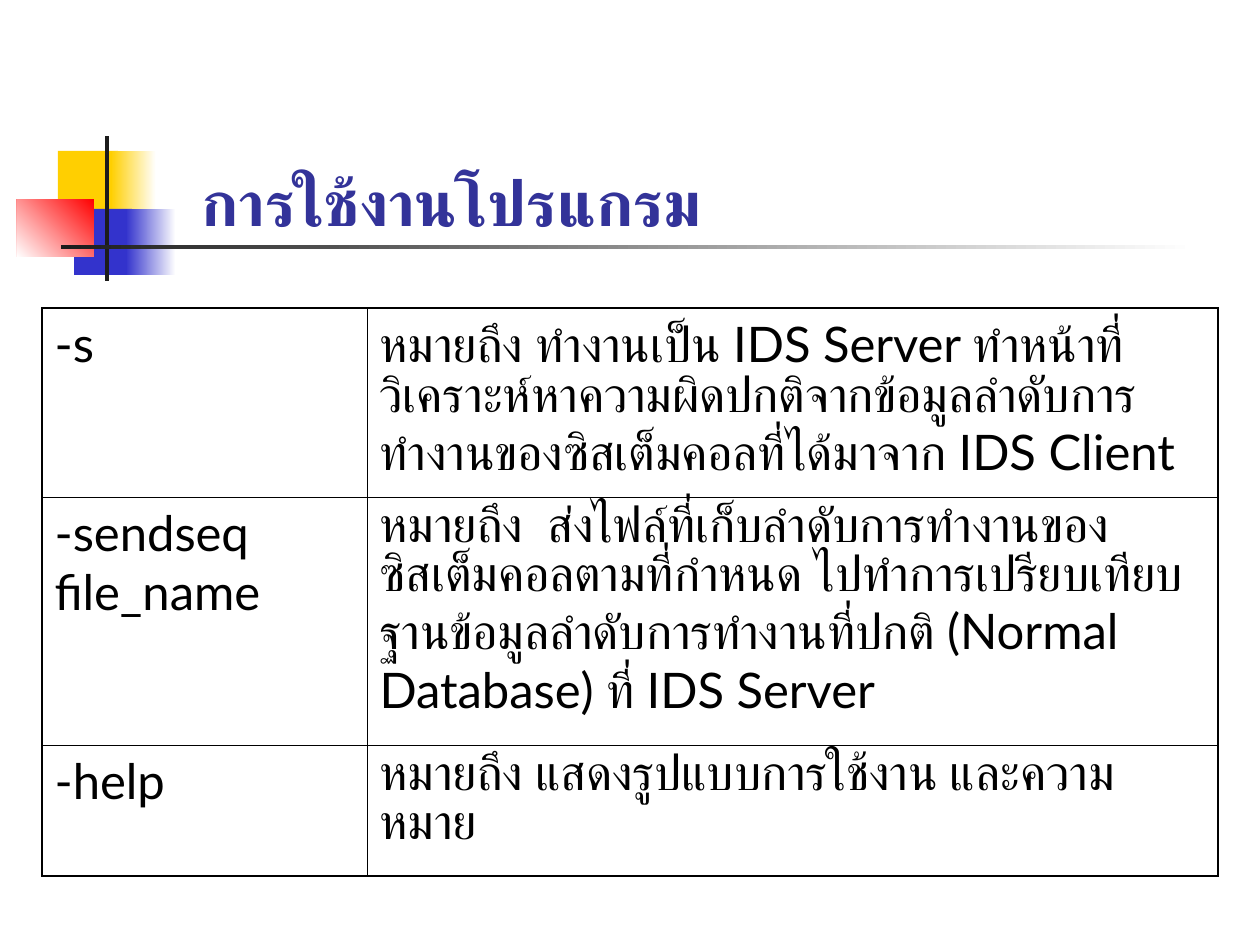
"""Build the program usage slide with its option table."""
from lxml import etree
from pptx import Presentation
from pptx.dml.color import RGBColor
from pptx.enum.shapes import MSO_SHAPE
from pptx.enum.text import MSO_AUTO_SIZE
from pptx.oxml.ns import qn
from pptx.util import Pt

RECT = MSO_SHAPE.RECTANGLE
GROW = MSO_AUTO_SIZE.SHAPE_TO_FIT_TEXT
EMU_PER_PX = 914400 / 126
COLORS = {
    "white": "FFFFFF", "black": "000000", "yellow": "FFCF01", "blue": "3333CC",
    "red": "FF0000", "ink": "1C1C1C", "title": "333399",
}
TITLE_FONT = {"name": "Roboto", "size": Pt(36), "bold": True}
CELL_FONT = {"name": "Lato", "size": Pt(28), "bold": False}
OUTER, INNER = Pt(1.08), Pt(0.45)

DECORATION = [
    ((58, 151, 60, 66), ("yellow",), 0),
    ((111, 151, 45, 66), ("white", "yellow"), 180),
    ((74, 209, 58, 66), ("blue",), 0),
    ((126, 209, 50, 66), ("white", "blue"), 180),
    ((17, 199, 77, 58), ("red", "white"), 225),
    ((105, 136, 4, 145), ("ink",), 0),
    ((61, 245, 1134, 4), ("white", "ink"), 180),
]
OPTIONS = [
    ("-s", "หมายถึง ทำงานเป็น IDS Server ทำหน้าที่วิเคราะห์หาความผิดปกติจากข้อมูล"
           "ลำดับการทำงานของซิสเต็มคอลที่ได้มาจาก IDS Client"),
    ("-sendseq file_name",
     "หมายถึง  ส่งไฟล์ที่เก็บลำดับการทำงานของซิสเต็มคอลตามที่กำหนด "
     "ไปทำการเปรียบเทียบฐานข้อมูลลำดับการทำงานที่ปกติ (Normal Database) ที่ IDS Server"),
    ("-help", "หมายถึง แสดงรูปแบบการใช้งาน และความหมาย"),
]
COL_WIDTHS = (325, 851)
ROW_HEIGHTS = (189, 248, 131)


def px(*values):
    """Turn pixel lengths into EMU."""
    return [round(v * EMU_PER_PX) for v in values]


def rgb(name):
    """Look up a named colour."""
    return RGBColor.from_string(COLORS[name])


def write(tf, text, font, color):
    """Write one formatted run into a text frame."""
    tf.word_wrap = True
    r = tf.paragraphs[0].add_run()
    r.text = text
    for key, value in font.items():
        setattr(r.font, key, value)
    r.font.color.rgb = rgb(color)


def add_block(s, box, colors, angle):
    """Add a rectangle with a plain or two-stop gradient fill."""
    sp = s.shapes.add_shape(RECT, *px(*box))
    sp.shadow.inherit = False
    sp.line.fill.background()
    if len(colors) == 1:
        sp.fill.solid()
        sp.fill.fore_color.rgb = rgb(colors[0])
        return
    sp.fill.gradient()
    sp.fill.gradient_angle = angle
    for stop, color in zip(sp.fill.gradient_stops, colors):
        stop.color.rgb = rgb(color)


def add_title(s, box, text):
    """Add the slide title."""
    tf = s.shapes.add_textbox(*px(*box)).text_frame
    write(tf, text, TITLE_FONT, "title")
    tf.auto_size = GROW


def set_borders(cell, widths):
    """Draw the four borders of a cell."""
    tc_pr = cell._tc.get_or_add_tcPr()
    for tag, width in widths.items():
        ln = etree.SubElement(tc_pr, qn(f"a:{tag}"), w=str(width))
        fill = etree.SubElement(ln, qn("a:solidFill"))
        etree.SubElement(fill, qn("a:srgbClr"), val=COLORS["black"])


def add_options(s, left, top):
    """Add the table of options, with a heavier outer frame."""
    n_rows, n_cols = len(OPTIONS), len(COL_WIDTHS)
    size = (sum(COL_WIDTHS), sum(ROW_HEIGHTS))
    table = s.shapes.add_table(n_rows, n_cols, *px(left, top, *size)).table
    table.first_row = table.horz_banding = False
    for col, width in zip(table.columns, px(*COL_WIDTHS)):
        col.width = width
    for row, height in zip(table.rows, px(*ROW_HEIGHTS)):
        row.height = height
    for i, texts in enumerate(OPTIONS):
        for j, text in enumerate(texts):
            cell = table.cell(i, j)
            write(cell.text_frame, text, CELL_FONT, "black")
            edges = {"lnL": j == 0, "lnR": j == n_cols - 1,
                     "lnT": i == 0, "lnB": i == n_rows - 1}
            set_borders(cell, {k: OUTER if v else INNER for k, v in edges.items()})
            cell.fill.background()


def main():
    """Build and save the slide."""
    prs = Presentation()
    prs.slide_width, prs.slide_height = px(1260, 945)
    s = prs.slides.add_slide(prs.slide_layouts[6])
    for box, colors, angle in DECORATION:
        add_block(s, box, colors, angle)
    add_title(s, (189, 157, 735, 88), "การใช้งานโปรแกรม")
    add_options(s, 42, 308)
    prs.save("out.pptx")


if __name__ == "__main__":
    main()
